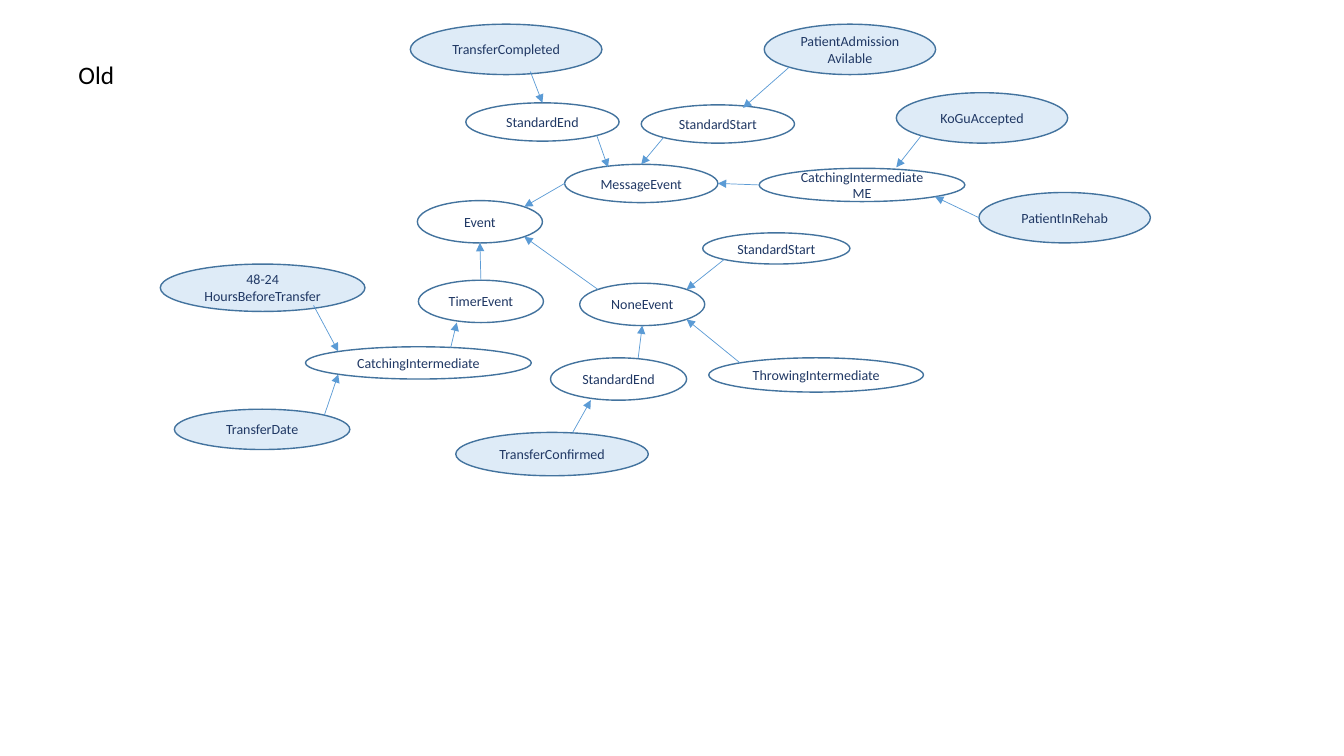
from lxml import etree
from pptx import Presentation
from pptx.dml.color import RGBColor
from pptx.enum.shapes import MSO_CONNECTOR, MSO_SHAPE
from pptx.enum.text import MSO_ANCHOR, PP_ALIGN
from pptx.oxml.ns import qn
from pptx.util import Inches, Pt

OVAL = MSO_SHAPE.OVAL
STRAIGHT = MSO_CONNECTOR.STRAIGHT
MIDDLE = MSO_ANCHOR.MIDDLE
CENTER = PP_ALIGN.CENTER

# Content: event classes (outlined) and concrete events (filled)
TITLE = ("Old", 0.68, 0.54, 0.85, 0.4)

CLASSES = {
    "event": ("Event", 4.14, 1.99, 1.24, 0.42),
    "timer": ("TimerEvent", 4.15, 2.78, 1.24, 0.42),
    "timer catch": ("CatchingIntermediate", 3.03, 3.44, 2.24, 0.32),
    "none": ("NoneEvent", 5.75, 2.81, 1.24, 0.42),
    "none end": ("StandardEnd", 5.46, 3.55, 1.35, 0.42),
    "none throw": ("ThrowingIntermediate", 7.03, 3.55, 2.13, 0.34),
    "none start": ("StandardStart", 6.97, 2.31, 1.46, 0.31),
    "message": ("MessageEvent", 5.6, 1.63, 1.52, 0.38),
    "message start": ("StandardStart", 6.36, 1.04, 1.52, 0.38),
    "message catch": ("CatchingIntermediate\nME", 7.53, 1.67, 2.04, 0.33),
    "message end": ("StandardEnd", 4.62, 1.02, 1.52, 0.38),
}
CONCRETE = {
    "hours before": ("48-24 HoursBeforeTransfer", 1.59, 2.62, 2.03, 0.47),
    "date": ("TransferDate", 1.73, 4.06, 1.74, 0.4),
    "confirmed": ("TransferConfirmed", 4.52, 4.29, 1.91, 0.43),
    "admission": ("PatientAdmission\nAvilable", 7.58, 0.24, 1.7, 0.5),
    "accepted": ("KoGuAccepted", 8.89, 0.92, 1.7, 0.5),
    "rehab": ("PatientInRehab", 9.71, 1.91, 1.7, 0.5),
    "completed": ("TransferCompleted", 4.07, 0.24, 1.9, 0.5),
}
EVENTS = {**CLASSES, **CONCRETE}

# Each end is an (event, compass site) pair or a free (x, y) point
LINKS = [
    (("date", "NE"), ("timer catch", "SW")),
    ((3.11, 3.03), ("timer catch", "NW")),
    (("timer", "N"), ("event", "S")),
    ((4.47, 3.45), (4.53, 3.2)),
    ((6.33, 3.55), ("none", "S")),
    ((5.68, 4.29), (5.86, 3.97)),
    (("none throw", "NW"), ("none", "SE")),
    (("none start", "SW"), ("none", "NE")),
    (("none", "NW"), ("event", "SE")),
    (("message", "W"), ("event", "NE")),
    (("message start", "SW"), ("message", "N")),
    (("message catch", "W"), ("message", "E")),
    (("admission", "SW"), (7.37, 1.07)),
    (("accepted", "SW"), (8.89, 1.66)),
    (("rehab", "W"), ("message catch", "SE")),
    (("message end", "SE"), (6.03, 1.66)),
    ((5.26, 0.71), ("message end", "N")),
]

THEME = {
    "font": "Calibri",
    "title": {"size": 18, "color": "000000"},
    "label": {"size": 10, "color": "203864"},
    "outline": {"width": 1, "color": "43739E"},
    "arrow": {"width": 0.5, "color": "5B9BD5"},
    "concrete fill": "DEEBF7",
}

# Share of an ellipse's half axis reached at a diagonal site
DIAGONAL = 0.71


def write(frame, text, style):
    paragraph = frame.paragraphs[0]
    paragraph.text = text
    for run in paragraph.runs:
        for name, value in {"name": THEME["font"], "size": Pt(style["size"])}.items():
            setattr(run.font, name, value)
        run.font.color.rgb = RGBColor.from_string(style["color"])
    for line_break in paragraph._p.findall(qn("a:br")):
        etree.SubElement(line_break, qn("a:rPr"), sz=str(style["size"] * 100))
    return paragraph


def set_line(line, style):
    line.width = Pt(style["width"])
    line.color.rgb = RGBColor.from_string(style["color"])


def locate(end):
    """Turn a link end into slide coordinates in inches."""
    if end[0] not in EVENTS:
        return end
    event, site = end
    _, left, top, width, height = EVENTS[event]
    reach = DIAGONAL if len(site) == 2 else 1
    across = ("E" in site) - ("W" in site)
    down = ("S" in site) - ("N" in site)
    return (left + width / 2 * (1 + reach * across),
            top + height / 2 * (1 + reach * down))


def add_event(slide, key):
    label, *box = EVENTS[key]
    oval = slide.shapes.add_shape(OVAL, *map(Inches, box))
    oval.shadow.inherit = False
    if key in CONCRETE:
        oval.fill.solid()
        oval.fill.fore_color.rgb = RGBColor.from_string(THEME["concrete fill"])
    else:
        oval.fill.background()
    set_line(oval.line, THEME["outline"])
    oval.text_frame.word_wrap = True
    oval.text_frame.vertical_anchor = MIDDLE
    write(oval.text_frame, label, THEME["label"]).alignment = CENTER


def add_link(slide, start, end):
    points = map(Inches, (*locate(start), *locate(end)))
    arrow = slide.shapes.add_connector(STRAIGHT, *points)
    set_line(arrow.line, THEME["arrow"])
    etree.SubElement(arrow.line._get_or_add_ln(), qn("a:tailEnd"), type="triangle")
    etree.SubElement(arrow._element.spPr, qn("a:effectLst"))


def main():
    deck = Presentation()
    deck.slide_width, deck.slide_height = Inches(13.33), Inches(7.5)
    slide = deck.slides.add_slide(deck.slide_layouts[6])

    # Event hierarchy
    for key in EVENTS:
        add_event(slide, key)
    for start, end in LINKS:
        add_link(slide, start, end)

    # Title
    text, *box = TITLE
    title = slide.shapes.add_textbox(*map(Inches, box))
    title.text_frame.word_wrap = True
    write(title.text_frame, text, THEME["title"])

    deck.save("out.pptx")


if __name__ == "__main__":
    main()
